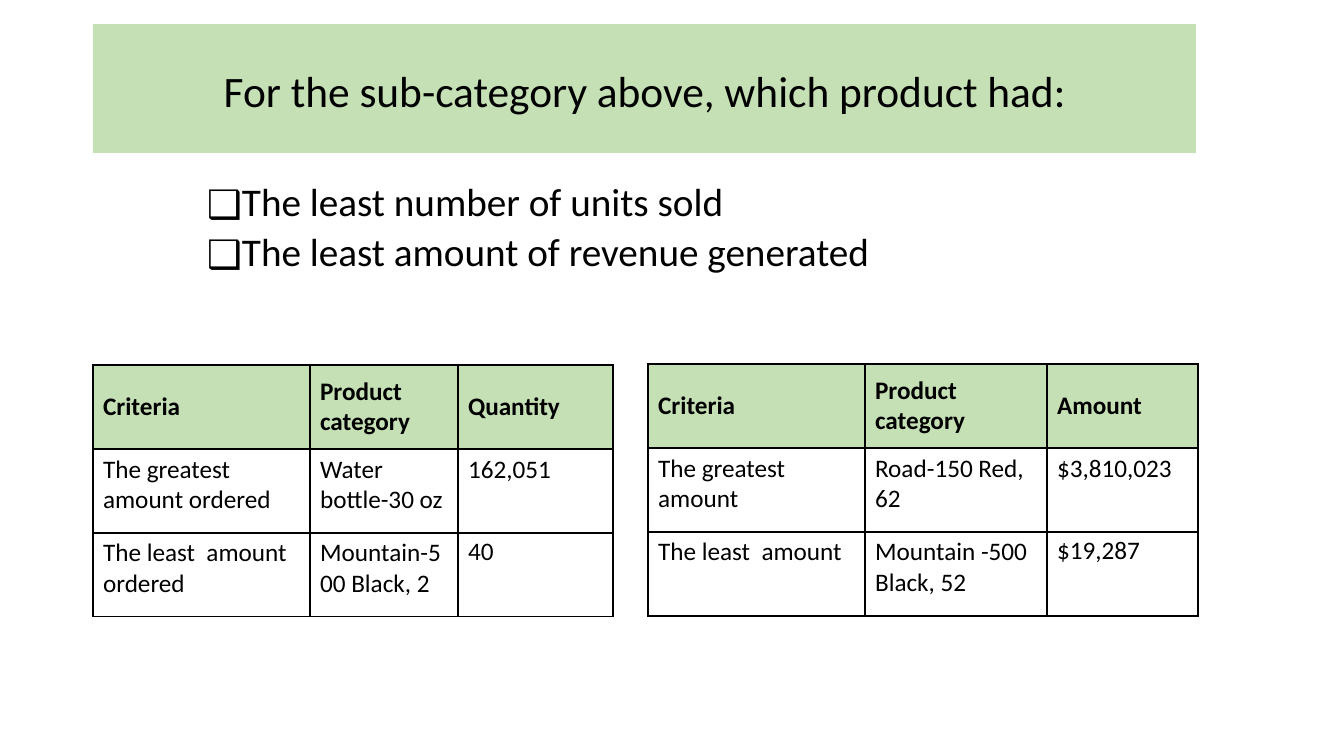
from lxml.etree import SubElement
from pptx import Presentation
from pptx.dml.color import RGBColor
from pptx.enum.text import MSO_ANCHOR, MSO_AUTO_SIZE, PP_ALIGN
from pptx.oxml.ns import qn
from pptx.util import Pt

BLACK = RGBColor(0x00, 0x00, 0x00)
GREEN = RGBColor(0xC5, 0xE0, 0xB4)
PX = 914400 / 100.8

QUESTION = "For the sub-category above, which product had:"
QUESTION_BOX = (93, 24, 1103, 129)
POINTS = ["The least number of units sold", "The least amount of revenue generated"]
POINTS_BOX = (146, 169, 843, 112)
POINT_INDENT, POINT_HANGING = 82, -31
ROW_HEIGHT = 84
RANKINGS = [
    {
        "corner": (93, 365),
        "columns": [217, 148, 155],
        "rows": [
            ("Criteria", "Product category", "Quantity"),
            ("The greatest amount ordered", "Water bottle-30 oz", "162,051"),
            ("The least  amount ordered", "Mountain-500 Black, 2", "40"),
        ],
    },
    {
        "corner": (648, 364),
        "columns": [217, 182, 151],
        "rows": [
            ("Criteria", "Product category", "Amount"),
            ("The greatest amount", "Road-150 Red, 62", "$3,810,023"),
            ("The least  amount", "Mountain -500 Black, 52", "$19,287"),
        ],
    },
]


def emu(px):
    return round(px * PX)


def write(paragraph, text, size, bold=False, align=PP_ALIGN.LEFT, line=1.0, before=0, after=0):
    paragraph.alignment = align
    paragraph.line_spacing = line
    paragraph.space_before, paragraph.space_after = Pt(before), Pt(after)
    run = paragraph.add_run()
    run.text = text
    run.font.name, run.font.size, run.font.bold = "Calibri", Pt(size), bold
    run.font.color.rgb = BLACK


def add_bullet(paragraph):
    properties = paragraph._p.get_or_add_pPr()
    properties.set("marL", str(emu(POINT_INDENT)))
    properties.set("indent", str(emu(POINT_HANGING)))
    SubElement(properties, qn("a:buFont"), typeface="Noto Sans Symbols")
    SubElement(properties, qn("a:buChar"), char="❑")


def add_borders(cell):
    properties = cell._tc.get_or_add_tcPr()
    for side in ("lnL", "lnR", "lnT", "lnB"):
        border = SubElement(properties, qn(f"a:{side}"), w=str(Pt(1)))
        fill = SubElement(border, qn("a:solidFill"))
        SubElement(fill, qn("a:srgbClr"), val=str(BLACK))


def add_ranking(slide, corner, columns, rows):
    size = (sum(columns), ROW_HEIGHT * len(rows))
    table = slide.shapes.add_table(len(rows), len(columns), *map(emu, corner + size)).table
    table.first_row = table.horz_banding = False
    for column, width in zip(table.columns, columns):
        column.width = emu(width)
    for r, values in enumerate(rows):
        table.rows[r].height = emu(ROW_HEIGHT)
        for c, value in enumerate(values):
            cell = table.cell(r, c)
            add_borders(cell)
            if r == 0:
                cell.fill.solid()
                cell.fill.fore_color.rgb = GREEN
                cell.vertical_anchor = MSO_ANCHOR.MIDDLE
            else:
                cell.fill.background()
            is_least = (r, c) == (len(rows) - 1, len(columns) - 1)
            write(cell.text_frame.paragraphs[0], value, 18, bold=r == 0,
                  line=0.9 if is_least else 1.0, before=10 if is_least else 0)


def main():
    """Build the slide on least and greatest product sales."""
    deck = Presentation()
    deck.slide_width, deck.slide_height = emu(1344), emu(756)
    slide = deck.slides.add_slide(deck.slide_layouts[5])

    question = slide.shapes.title
    question.left, question.top, question.width, question.height = map(emu, QUESTION_BOX)
    question.fill.solid()
    question.fill.fore_color.rgb = GREEN
    question.text_frame.auto_size = MSO_AUTO_SIZE.NONE
    question.text_frame.vertical_anchor = MSO_ANCHOR.MIDDLE
    write(question.text_frame.paragraphs[0], QUESTION, 31, align=PP_ALIGN.CENTER, line=1.07)

    for ranking in RANKINGS:
        add_ranking(slide, **ranking)

    points = slide.shapes.add_textbox(*map(emu, POINTS_BOX)).text_frame
    points.word_wrap = True
    points.auto_size = MSO_AUTO_SIZE.SHAPE_TO_FIT_TEXT
    for i, point in enumerate(POINTS):
        paragraph = points.add_paragraph() if i else points.paragraphs[0]
        paragraph.level = 1
        write(paragraph, point, 28, line=1.07, after=8 if i == len(POINTS) - 1 else 0)
        add_bullet(paragraph)

    deck.save("out.pptx")


if __name__ == "__main__":
    main()
